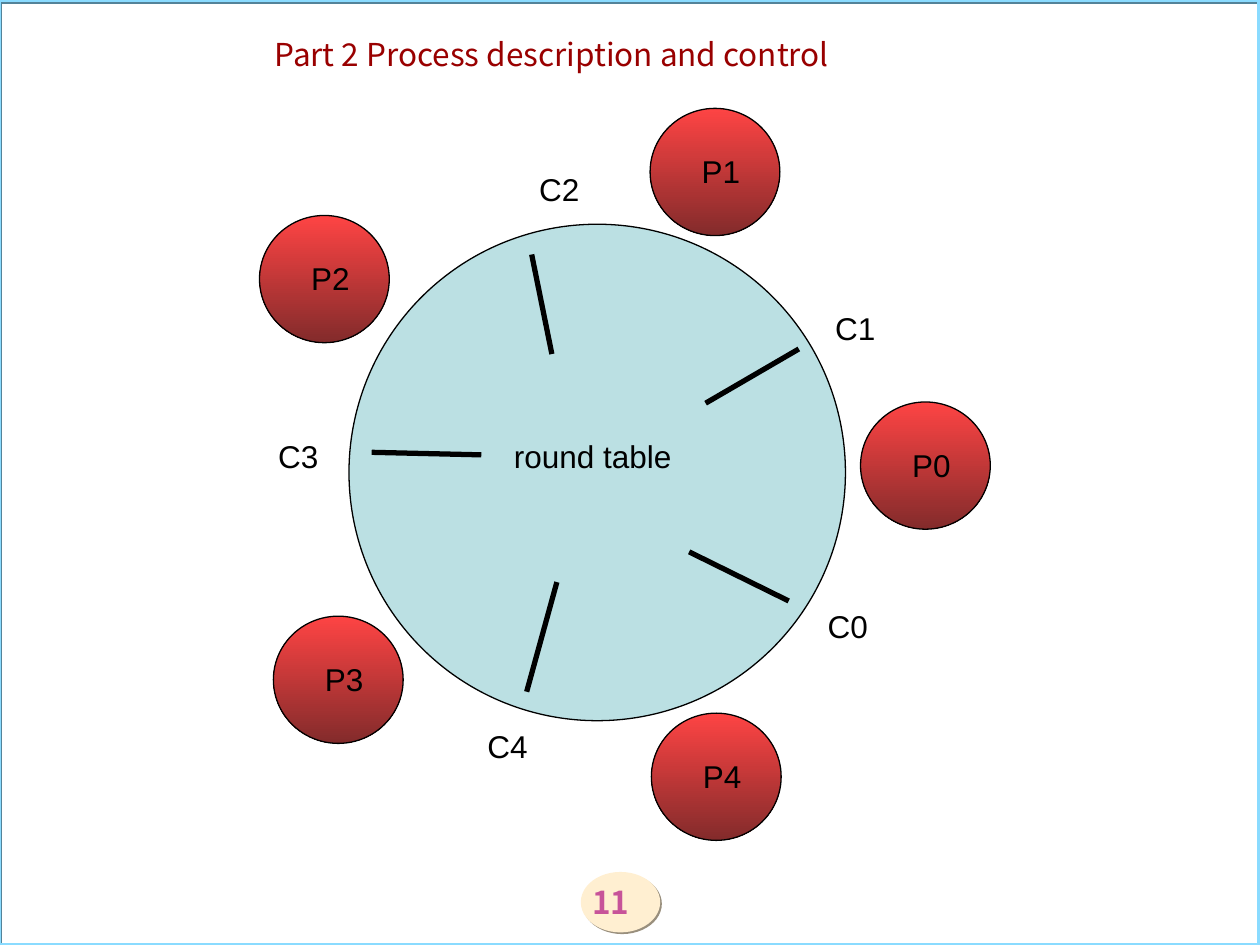
import dataclasses

import pptx
import pptx.dml.color
import pptx.enum.dml
import pptx.enum.shapes
import pptx.enum.text
import pptx.oxml
import pptx.oxml.ns
import pptx.util
from pptx.util import Inches

SHAPE = pptx.enum.shapes.MSO_SHAPE
ANCHOR = pptx.enum.text.MSO_ANCHOR


@dataclasses.dataclass(frozen=True)
class Theme:
    """Colours, fonts and sizes used on the slide."""
    ink: str = "000000"
    title: str = "990000"
    table: str = "BBE0E3"
    seat_top: str = "FE4444"
    seat_bottom: str = "832B2B"
    frame: str = "8ADBFF"
    frame_shadow: str = "538399"
    badge: str = "FFEFD1"
    badge_shadow: str = "998F7D"
    badge_text: str = "C75399"
    body_font: str = "Arial"
    title_font: str = "Noto Sans CJK JP"
    badge_font: str = "Noto Sans CJK SC"
    text_size: float = 18
    outline: float = 0.75
    frame_line: float = 2.25
    stick_line: float = 3


def rgb(value):
    return pptx.dml.color.RGBColor.from_string(value)


def write(sp, text, font, size, color, bold=False, anchor=ANCHOR.TOP,
          inset=(0.1, 0.05), before=0):
    """Put one left-aligned, formatted paragraph into a shape."""
    tf = sp.text_frame
    tf.word_wrap = True
    tf.auto_size = pptx.enum.text.MSO_AUTO_SIZE.SHAPE_TO_FIT_TEXT
    tf.vertical_anchor = anchor
    tf.margin_left = tf.margin_right = Inches(inset[0])
    tf.margin_top = tf.margin_bottom = Inches(inset[1])
    p = tf.paragraphs[0]
    p.alignment = pptx.enum.text.PP_ALIGN.LEFT
    p.line_spacing = 1.0
    p.space_before = pptx.util.Pt(before)
    r = p.add_run()
    r.text = text
    r.font.name = font
    r.font.size = pptx.util.Pt(size)
    r.font.bold = bold
    r.font.color.rgb = rgb(color)


class SlideBuilder:
    def __init__(self, slide, theme):
        self.slide = slide
        self.theme = theme

    def title(self, text, box):
        t = self.theme
        sp = self.slide.shapes.title
        sp.left, sp.top, sp.width, sp.height = map(Inches, box)
        write(sp, text, t.title_font, t.text_size, t.title, before=11.2)

    def shape(self, kind, box, fill=None, line=None, width=0, shadow=None,
              parent=None):
        """fill is a colour, a (top, bottom) gradient pair or None."""
        shapes = (parent or self.slide).shapes
        sp = shapes.add_shape(kind, *map(Inches, box))
        sp.shadow.inherit = False
        if fill is None:
            sp.fill.background()
        elif isinstance(fill, tuple):
            sp.fill.gradient()
            sp.fill.gradient_angle = 270
            for stop, color in zip(sp.fill.gradient_stops, fill):
                stop.color.rgb = rgb(color)
        else:
            sp.fill.solid()
            sp.fill.fore_color.rgb = rgb(fill)
        if line:
            sp.line.color.rgb = rgb(line)
            sp.line.width = pptx.util.Pt(width)
        else:
            sp.line.fill.background()
        if shadow:
            self.hard_shadow(sp, shadow)
        return sp

    def hard_shadow(self, sp, color):
        effects = sp._element.spPr.find(pptx.oxml.ns.qn("a:effectLst"))
        effects.append(pptx.oxml.parse_xml(
            f'<a:outerShdw {pptx.oxml.ns.nsdecls("a")} blurRad="0" '
            f'dist="{pptx.util.Pt(1.4)}" dir="2700000" algn="ctr" '
            f'rotWithShape="0"><a:srgbClr val="{color}"/></a:outerShdw>'))

    def label(self, text, left, top, width, parent=None):
        t = self.theme
        sp = (parent or self.slide).shapes.add_textbox(
            *map(Inches, (left, top, width, 0.4)))
        write(sp, text, t.body_font, t.text_size, t.ink)

    def round_table(self, text, left, top, size):
        t = self.theme
        group = self.slide.shapes.add_group_shape()
        self.shape(SHAPE.OVAL, (left, top, size, size), t.table, t.ink,
                   t.outline, parent=group)
        self.label(text, left + 1.21, top + 1.64, 1.63, group)

    def philosopher(self, name, left, top):
        t = self.theme
        group = self.slide.shapes.add_group_shape()
        self.shape(SHAPE.OVAL, (left, top, 1.03, 1.01),
                   (t.seat_top, t.seat_bottom), t.ink, t.outline,
                   parent=group)
        self.label(name, left + 0.31, top + 0.3, 0.51, group)

    def chopstick(self, start, end):
        sp = self.slide.shapes.add_connector(
            pptx.enum.shapes.MSO_CONNECTOR.STRAIGHT,
            *map(Inches, (*start, *end)))
        sp.line.color.rgb = rgb(self.theme.ink)
        sp.line.width = pptx.util.Pt(self.theme.stick_line)
        sp._element.spPr.append(
            pptx.oxml.parse_xml(
                f'<a:effectLst {pptx.oxml.ns.nsdecls("a")}/>'))

    def page_badge(self, number, box):
        t = self.theme
        sp = self.shape(SHAPE.OVAL, box, t.badge, shadow=t.badge_shadow)
        write(sp, number, t.badge_font, t.text_size, t.badge_text, bold=True,
              anchor=ANCHOR.MIDDLE, inset=(0, 0))

    def frame(self, box):
        t = self.theme
        self.shape(SHAPE.RECTANGLE, box, line=t.frame, width=t.frame_line,
                   shadow=t.frame_shadow)


PHILOSOPHERS = {"P3": (2.17, 4.89), "P1": (5.16, 0.86), "P2": (2.06, 1.71),
                "P0": (6.83, 3.19), "P4": (5.17, 5.66)}

# Name: label position, stick start, stick end
CHOPSTICKS = {
    "C1": ((6.53, 2.4), (6.34, 2.77), (5.6, 3.2)),
    "C0": ((6.47, 4.77), (6.26, 4.77), (5.47, 4.38)),
    "C4": ((3.77, 5.72), (4.42, 4.62), (4.18, 5.49)),
    "C2": ((4.18, 1.3), (4.22, 2.02), (4.38, 2.81)),
    "C3": ((2.11, 3.42), (3.82, 3.61), (2.95, 3.59)),
}


def main():
    prs = pptx.Presentation()
    prs.slide_width, prs.slide_height = Inches(10), Inches(7.5)
    s = prs.slides.add_slide(prs.slide_layouts[5])
    builder = SlideBuilder(s, Theme())

    # Page furniture
    builder.page_badge("11", (4.61, 6.92, 0.63, 0.48))
    builder.frame((-0.01, 0, 10, 7.5))
    builder.title("Part 2 Process description and control",
                  (2.08, 0.23, 5.59, 0.7))

    # Table and the philosophers around it
    builder.round_table("round table", 2.77, 1.78, 3.94)
    for name, position in PHILOSOPHERS.items():
        builder.philosopher(name, *position)

    # Chopsticks and their names
    for name, (position, start, end) in CHOPSTICKS.items():
        builder.chopstick(start, end)
        builder.label(name, *position, 0.59)

    prs.save("out.pptx")


if __name__ == "__main__":
    main()
